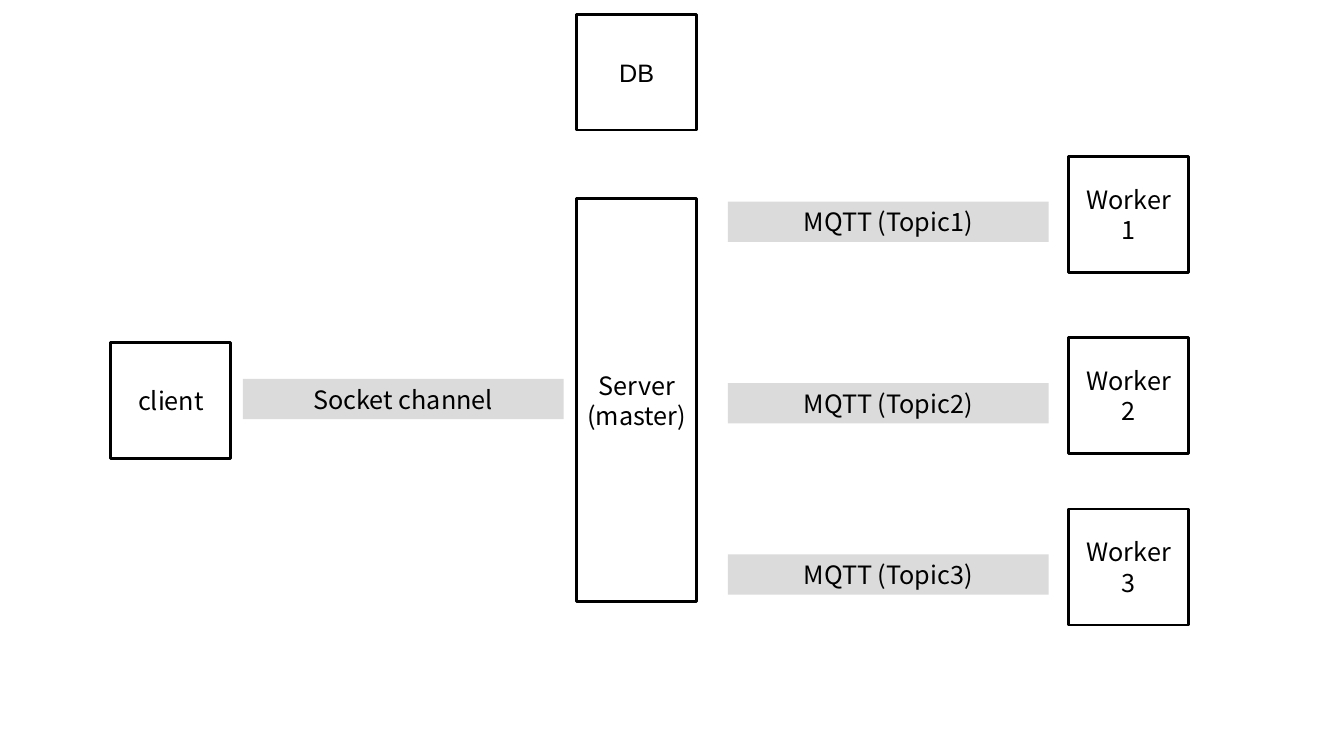
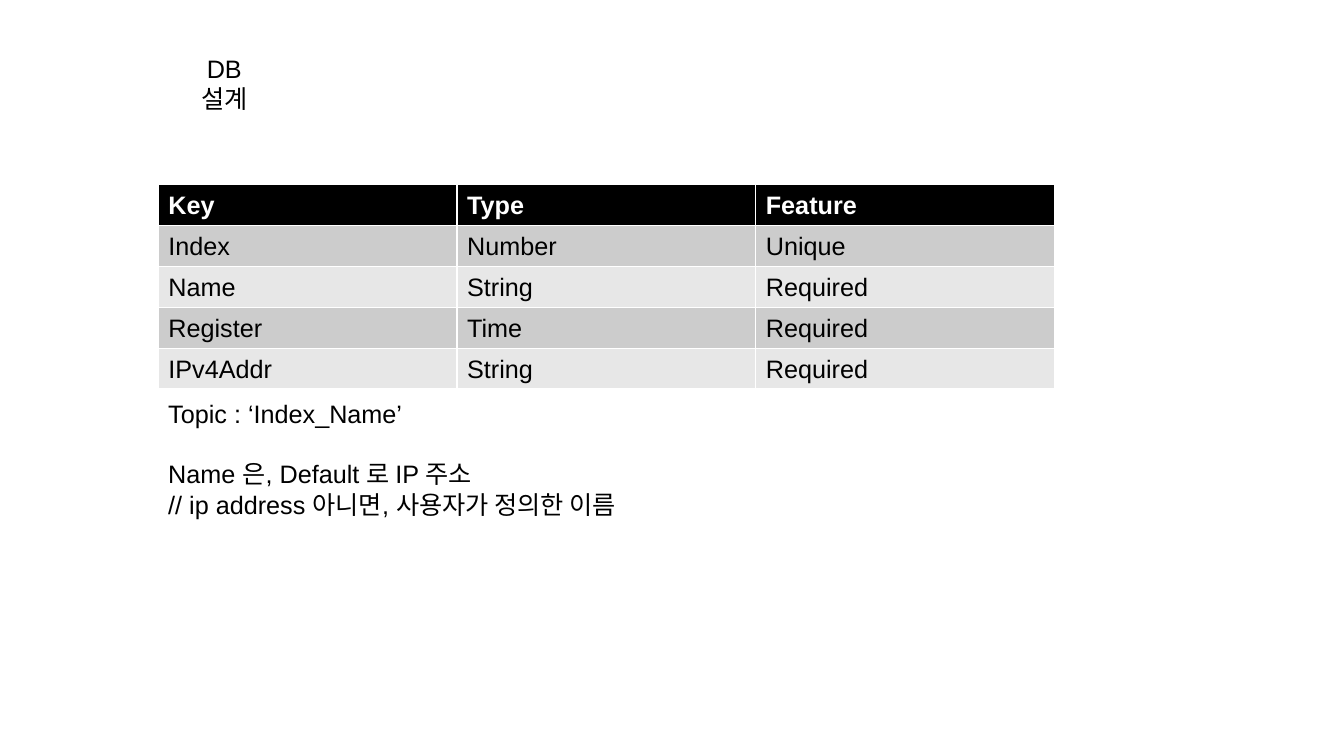
from lxml import etree
from pptx import Presentation
from pptx.dml.color import RGBColor
from pptx.enum.shapes import MSO_SHAPE
from pptx.enum.text import MSO_ANCHOR, MSO_AUTO_SIZE, PP_ALIGN
from pptx.oxml.ns import qn
from pptx.util import Inches, Pt

RECT = MSO_SHAPE.RECTANGLE
TOP, MIDDLE = MSO_ANCHOR.TOP, MSO_ANCHOR.MIDDLE
LEFT, CENTER = PP_ALIGN.LEFT, PP_ALIGN.CENTER
FIXED = MSO_AUTO_SIZE.NONE
BLACK, WHITE, GREY = "000000", "FFFFFF", "DBDBDB"
BANDS = ("CCCCCC", "E7E7E7")
SANS, CJK = "Arial", "Noto Sans CJK KR"
PITCH = 21.6
NODE_W, NODE_H = 1.19, 1.15
LINK_W, LINK_H = 3.18, 0.4


def tint(code):
    """Turn a hex string into a colour."""
    return RGBColor.from_string(code)


def write(frame, *lines, font=SANS, color=BLACK, bold=False, align=LEFT,
          anchor=TOP, side=0.1, gaps=()):
    """Fill a text frame; gaps lists the lines that have space above."""
    frame.word_wrap = True
    frame.vertical_anchor = anchor
    frame.margin_left = frame.margin_right = Inches(side)
    frame.margin_top = frame.margin_bottom = Inches(0.05)
    for i, line in enumerate(lines):
        para = frame.paragraphs[0] if i == 0 else frame.add_paragraph()
        para.alignment = align
        para.line_spacing = Pt(PITCH)
        para.space_before = Pt(PITCH if i in gaps else 0)
        run = para.add_run()
        run.text = line
        run.font.size = Pt(18)
        run.font.bold = bold
        run.font.color.rgb = tint(color)
        run.font.name = font
        etree.SubElement(run.font._element, qn("a:ea"), typeface=CJK)


def block(slide, x, y, w, h, fill, edge=None):
    """Add a plain rectangle and return it."""
    shape = slide.shapes.add_shape(
        RECT, Inches(x), Inches(y), Inches(w), Inches(h))
    shape.shadow.inherit = False
    shape.fill.solid()
    shape.fill.fore_color.rgb = tint(fill)
    if edge:
        shape.line.color.rgb = tint(edge)
        shape.line.width = Pt(2)
    else:
        shape.line.fill.background()
    return shape


def node(slide, x, y, *lines, h=NODE_H, font=CJK):
    """Add an outlined box for one part of the system."""
    shape = block(slide, x, y, NODE_W, h, WHITE, BLACK)
    write(shape.text_frame, *lines, font=font, align=CENTER, anchor=MIDDLE)


def link(slide, x, y, label):
    """Add a grey bar for one channel."""
    shape = block(slide, x, y, LINK_W, LINK_H, GREY)
    write(shape.text_frame, label, font=CJK, align=CENTER)


def worker(slide, x, y, num):
    """Add a topic bar and the worker box at its right end."""
    link(slide, x, y + 0.45, f"MQTT (Topic{num})")
    node(slide, x + LINK_W + 0.2, y, f"Worker {num}")


def heading(slide, x, y, w, h, text):
    """Place the title, narrow enough to break between its words."""
    title = slide.shapes.title
    title.left, title.top = Inches(x), Inches(y)
    title.width, title.height = Inches(w), Inches(h)
    write(title.text_frame, text, align=CENTER, side=0.3)
    title.text_frame.auto_size = FIXED


def grid(slide, x, y, w, h, rows):
    """Add a table with a black header and grey bands."""
    table = slide.shapes.add_table(
        len(rows), len(rows[0]), Inches(x), Inches(y),
        Inches(w), Inches(h)).table
    for r, row in enumerate(rows):
        head = r == 0
        for c, text in enumerate(row):
            cell = table.cell(r, c)
            cell.fill.solid()
            cell.fill.fore_color.rgb = tint(BLACK if head else BANDS[(r - 1) % 2])
            write(cell.text_frame, text, bold=head,
                  color=WHITE if head else BLACK)


def note(slide, x, y, w, h, *lines, gaps=()):
    """Add a text box of plain lines."""
    box = slide.shapes.add_textbox(Inches(x), Inches(y), Inches(w), Inches(h))
    write(box.text_frame, *lines, gaps=gaps)


def system(deck):
    """Build the slide with the parts of the system."""
    slide = deck.slides.add_slide(deck.slide_layouts[6])
    node(slide, 1.1, 3.4, "client")
    link(slide, 2.41, 3.76, "Socket channel")
    node(slide, 5.72, 0.14, "DB", font=SANS)
    node(slide, 5.72, 1.97, "Server", "(master)", h=4)
    for num, y in enumerate((1.55, 3.35, 5.05), 1):
        worker(slide, 7.22, y, num)


def schema(deck):
    """Build the slide with the database design."""
    slide = deck.slides.add_slide(deck.slide_layouts[5])
    heading(slide, 1.66, 0.48, 1.13, 0.7, "DB 설계")
    grid(slide, 1.57, 1.83, 8.89, 2.03, (
        ("Key", "Type", "Feature"),
        ("Index", "Number", "Unique"),
        ("Name", "String", "Required"),
        ("Register", "Time", "Required"),
        ("IPv4Addr", "String", "Required"),
    ))
    note(slide, 1.57, 3.9, 7.65, 1.31,
         "Topic : ‘Index_Name’",
         "Name 은, Default 로 IP 주소",
         "// ip address 아니면, 사용자가 정의한 이름", gaps=(1,))


def main():
    """Make the deck and save it."""
    deck = Presentation()
    deck.slide_width, deck.slide_height = Inches(13.33), Inches(7.5)
    system(deck)
    schema(deck)
    deck.save("out.pptx")


main()
